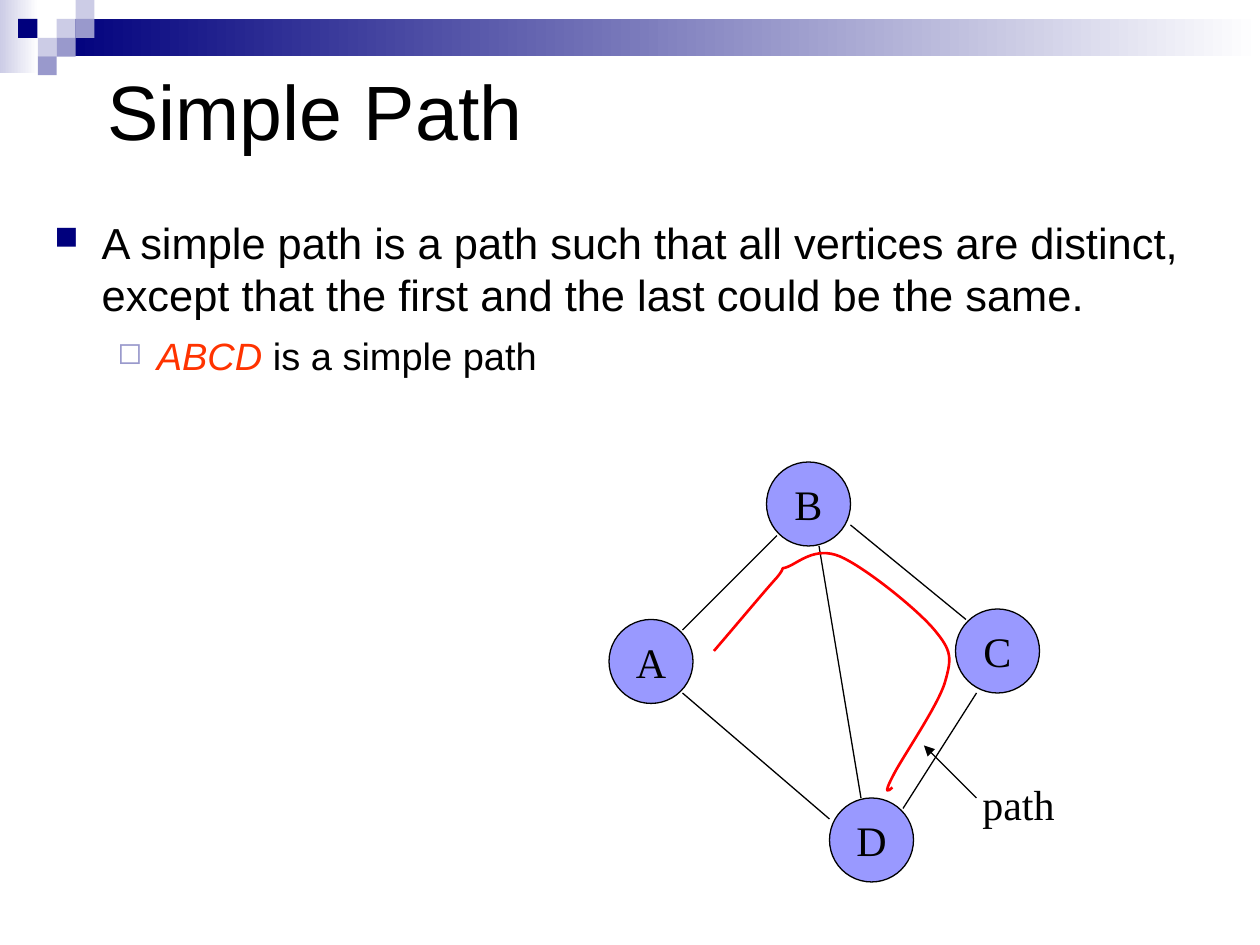
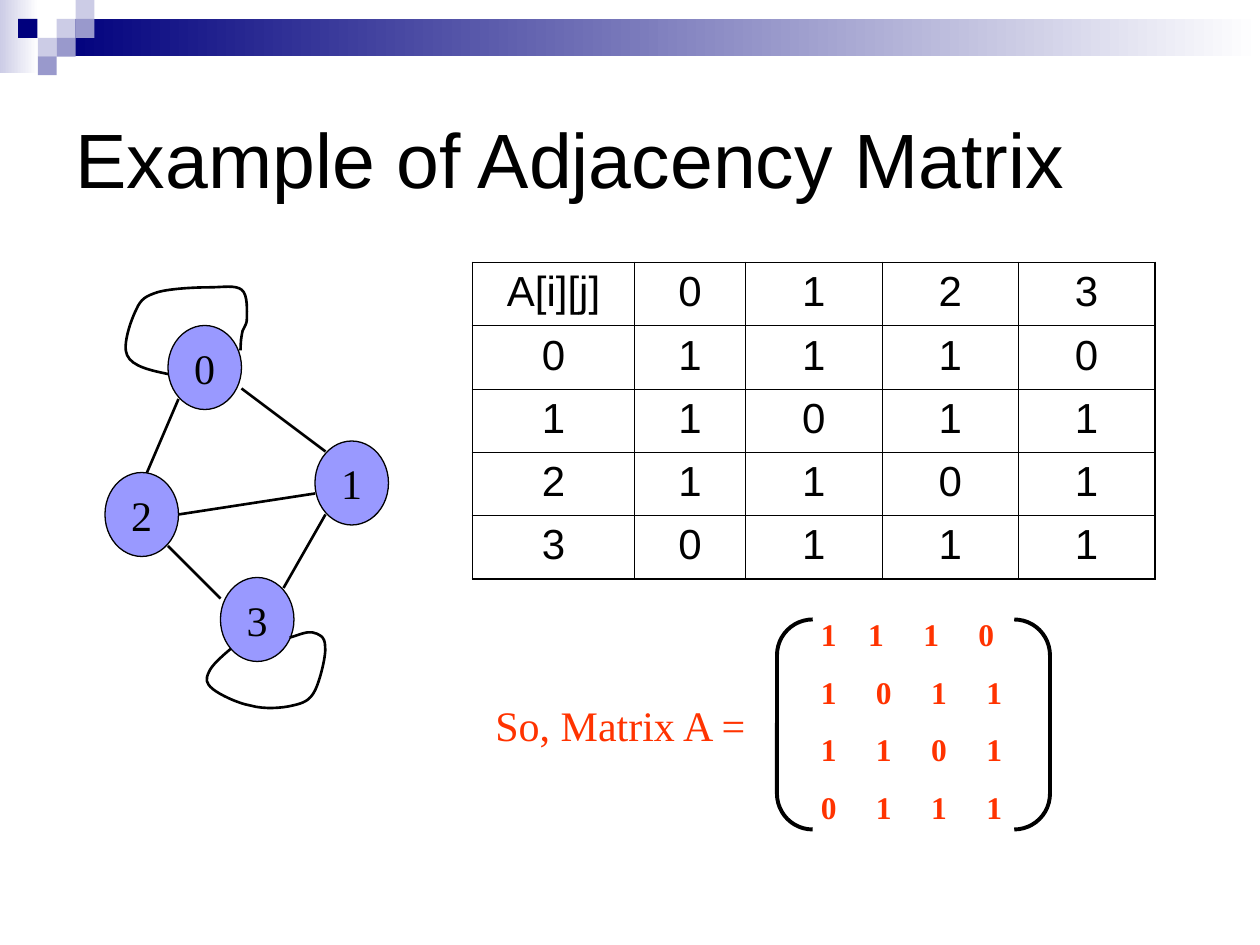
from lxml.etree import SubElement
from pptx import Presentation
from pptx.dml.color import RGBColor
from pptx.enum.shapes import MSO_CONNECTOR, MSO_SHAPE
from pptx.enum.text import MSO_ANCHOR, PP_ALIGN
from pptx.oxml import parse_xml
from pptx.oxml.ns import nsdecls, qn
from pptx.util import Pt

BLACK, WHITE, NAVY = "000000", "FFFFFF", "00007D"
PALE, MUTED, NODE = "CCCCE6", "9999CC", "9999FF"
ORANGE, RED = "FF3300", "FF0000"
SANS, SERIF = "Arial", "Times New Roman"


def hex_color(value):
    return RGBColor.from_string(value)


def write_text(para, text, size=24, font=SERIF, color=BLACK, bold=False, italic=False,
               align=PP_ALIGN.LEFT, before=0):
    para.alignment = align
    para.space_before = Pt(before)
    span = para.add_run()
    span.text = text
    span.font.size = Pt(size)
    span.font.name = font
    span.font.bold = bold
    span.font.italic = italic
    span.font.color.rgb = hex_color(color)


bands = [
    (0, 0, 22, 41.75, PALE, True),
    (32.4, 10.8, 687.6, 21.2, NAVY, True),
    (32.4, 10.8, 10.8, 10.8, PALE, False),
    (43.2, 0, 10.8, 10.8, PALE, False),
    (43.2, 10.8, 10.8, 10.8, MUTED, False),
    (21.6, 21.6, 10.8, 10.8, PALE, False),
    (10.4, 10.8, 11, 10.8, NAVY, False),
    (32.4, 21.6, 10.8, 10.8, MUTED, False),
    (21.6, 32.2, 10.8, 10.8, MUTED, False),
]

path_curve = [
    (408, 372),
    (422.6, 355), (437, 337.7), (444, 330),
    (450.7, 321.8), (444, 326.2), (450, 324),
    (456, 321.8), (465.8, 312), (480, 318),
    (494, 324), (524, 348), (534, 360),
    (544, 372), (544, 376), (540, 390),
    (535.7, 404), (514.8, 434), (510, 444),
    (504.7, 454.3), (507.6, 452.2), (510, 450),
]
top_loop = [
    (96.5, 213.8),
    (86.4, 211.7), (75.6, 209.5), (72.7, 203),
    (69.8, 197.3), (74.9, 182.9), (77.8, 177.1),
    (80.6, 170.6), (83.5, 169.2), (90, 167),
    (97.2, 164.9), (111.6, 164.2), (119.5, 164.2),
    (127.4, 164.2), (134.6, 162.7), (138.2, 165.6),
    (141.8, 168.5), (141.1, 177.8), (141.1, 182.2),
    (141.1, 186.5), (138.2, 187.9), (138.2, 191.5),
    (137.5, 194.4), (137.5, 200.2), (137.5, 200.2),
]
bottom_loop = [
    (131.8, 370.8),
    (126.7, 375.1), (121, 380.2), (119.5, 383.8),
    (117.4, 388.1), (117.4, 390.2), (121.7, 393.8),
    (125.3, 396.7), (135.4, 401.8), (143.3, 403.2),
    (151.2, 405.4), (161.3, 404.6), (167, 403.2),
    (173.5, 401.8), (177.1, 400.3), (180, 394.6),
    (182.9, 388.8), (186.5, 374.4), (185.8, 369.4),
    (185.8, 363.6), (182.2, 362.2), (178.6, 361.4),
    (175, 360.7), (170.6, 362.9), (165.6, 364.3),
]

graphs = [
    {
        "title": "Simple Path", "title_box": (54.3, 17.6, 612, 90),
        "node_size": (48, 48), "edge_width": 0.75,
        "nodes": {"B": (438, 264), "C": (546, 348), "D": (474, 456), "A": (348, 354)},
        "edges": [(444, 306, 390, 360), (390, 396, 474, 468), (516, 462, 558, 396),
                  (468, 312, 492, 456), (486, 300, 552, 354)],
        "arrows": [(558, 456, 528, 426)],
        "curves": [path_curve], "curve_color": RED,
    },
    {
        "title": "Example of Adjacency Matrix", "title_box": (36.2, 36, 648, 108),
        "node_size": (42, 48), "edge_width": 1.5,
        "nodes": {"0": (96, 186), "1": (180, 252), "3": (126, 330), "2": (60, 270)},
        "edges": [(102, 228, 84, 270), (96, 312, 126, 342), (102, 294, 180, 282),
                  (138, 222, 186, 258), (186, 294, 162, 336)],
        "arrows": [],
        "curves": [top_loop, bottom_loop], "curve_color": BLACK,
    },
]

deck = Presentation()
deck.slide_width, deck.slide_height = Pt(720), Pt(540)
pages = []

for graph in graphs:
    page = deck.slides.add_slide(deck.slide_layouts[6])
    pages.append(page)

    for left, top, width, height, color, fades in bands:
        band = page.shapes.add_shape(MSO_SHAPE.RECTANGLE, Pt(left), Pt(top), Pt(width), Pt(height))
        band.shadow.inherit = False
        band.line.fill.background()
        if fades:
            band.fill.gradient()
            band.fill.gradient_angle = 0
            for stop, stop_color in zip(band.fill.gradient_stops, (color, WHITE)):
                stop.color.rgb = hex_color(stop_color)
        else:
            band.fill.solid()
            band.fill.fore_color.rgb = hex_color(color)

    title = page.shapes.add_textbox(*map(Pt, graph["title_box"])).text_frame
    title.word_wrap = True
    title.vertical_anchor = MSO_ANCHOR.MIDDLE
    write_text(title.paragraphs[0], graph["title"], size=44, font=SANS)

    for label, corner in graph["nodes"].items():
        node = page.shapes.add_shape(MSO_SHAPE.OVAL, *map(Pt, corner + graph["node_size"]))
        node.shadow.inherit = False
        node.fill.solid()
        node.fill.fore_color.rgb = hex_color(NODE)
        node.line.color.rgb = hex_color(BLACK)
        node.line.width = Pt(0.75)
        node.text_frame.word_wrap = False
        node.text_frame.vertical_anchor = MSO_ANCHOR.MIDDLE
        write_text(node.text_frame.paragraphs[0], label, align=PP_ALIGN.CENTER)

    for ends in graph["edges"] + graph["arrows"]:
        edge = page.shapes.add_connector(MSO_CONNECTOR.STRAIGHT, *map(Pt, ends))
        edge.line.color.rgb = hex_color(BLACK)
        edge.line.width = Pt(graph["edge_width"])
        properties = edge._element.spPr
        if ends in graph["arrows"]:
            SubElement(properties.find(qn("a:ln")), qn("a:tailEnd"), type="triangle")
        SubElement(properties, qn("a:effectLst"))

    for curve in graph["curves"]:
        builder = page.shapes.build_freeform(*map(Pt, curve[0]))
        builder.add_line_segments([(Pt(x), Pt(y)) for x, y in curve[1:]], close=False)
        stroke = builder.convert_to_shape()
        stroke.shadow.inherit = False
        stroke.fill.background()
        stroke.line.color.rgb = hex_color(graph["curve_color"])
        stroke.line.width = Pt(1.5)
        outline = stroke._element.spPr.find(".//" + qn("a:path"))
        segments = outline.findall(qn("a:lnTo"))
        for first in range(0, len(segments), 3):
            bezier = SubElement(outline, qn("a:cubicBezTo"))
            for segment in segments[first:first + 3]:
                bezier.append(segment[0])
                outline.remove(segment)

path_page, matrix_page = pages

body = path_page.shapes.add_textbox(Pt(24), Pt(120), Pt(678), Pt(114)).text_frame
body.word_wrap = True
bullets = [
    (27, 27, 8, 24.8, "■", NAVY, 75,
     [("A simple path is a path such that all vertices are distinct, "
       "except that the first and the last could be the same.", BLACK, False)]),
    (58.5, 22.5, 7, 21.7, "◻", MUTED, 80,
     [("ABCD", ORANGE, True), (" is a simple path", BLACK, False)]),
]
for number, (indent, hanging, before, size, mark, mark_color, percent, spans) in enumerate(bullets):
    para = body.add_paragraph() if number else body.paragraphs[0]
    para.level = number
    for text, color, italic in spans:
        write_text(para, text, size=size, font=SANS, color=color, italic=italic, before=before)
    properties = para._p.get_or_add_pPr()
    properties.set("marL", str(Pt(indent)))
    properties.set("indent", str(-Pt(hanging)))
    SubElement(SubElement(properties, qn("a:buClr")), qn("a:srgbClr"), val=mark_color)
    SubElement(properties, qn("a:buSzPct"), val=str(percent * 1000))
    SubElement(properties, qn("a:buChar"), char=mark)

path_label = path_page.shapes.add_textbox(Pt(552), Pt(444.5), Pt(60), Pt(30)).text_frame
path_label.word_wrap = False
path_label.vertical_anchor = MSO_ANCHOR.MIDDLE
write_text(path_label.paragraphs[0], "path", align=PP_ALIGN.CENTER)

adjacency = [
    ["A[i][j]", "0", "1", "2", "3"],
    ["0", "1", "1", "1", "0"],
    ["1", "1", "0", "1", "1"],
    ["2", "1", "1", "0", "1"],
    ["3", "0", "1", "1", "1"],
]
last = len(adjacency) - 1
table = matrix_page.shapes.add_table(5, 5, Pt(270), Pt(150), Pt(390), Pt(180.75)).table
table.first_row = False
table.horz_banding = False
for column, width in zip(table.columns, (92.75, 63.25, 78, 78, 78)):
    column.width = Pt(width)
for row_index, values in enumerate(adjacency):
    table.rows[row_index].height = Pt(36.15)
    for column_index, value in enumerate(values):
        cell = table.cell(row_index, column_index)
        cell.fill.background()
        write_text(cell.text_frame.paragraphs[0], value, font=SANS, align=PP_ALIGN.CENTER, before=6)
        outer_sides = {"L": column_index == 0, "R": column_index == last,
                       "T": row_index == 0, "B": row_index == last}
        for position, (side, outer) in enumerate(outer_sides.items()):
            border = parse_xml(
                f'<a:ln{side} {nsdecls("a")} w="{Pt(1.08 if outer else 0.45)}">'
                f'<a:solidFill><a:srgbClr val="{BLACK}"/></a:solidFill></a:ln{side}>')
            cell._tc.get_or_add_tcPr().insert(position, border)

caption = matrix_page.shapes.add_textbox(Pt(270), Pt(396), Pt(180), Pt(36)).text_frame
caption.word_wrap = True
write_text(caption.paragraphs[0], " So, Matrix A =", color=ORANGE, before=15)

bracket = matrix_page.shapes.add_shape(MSO_SHAPE.DOUBLE_BRACKET, Pt(444), Pt(354), Pt(156), Pt(120))
bracket.adjustments[0] = 0.17
bracket.shadow.inherit = False
bracket.fill.background()
bracket.line.color.rgb = hex_color(BLACK)
bracket.line.width = Pt(2.25)

matrix = matrix_page.shapes.add_textbox(Pt(462), Pt(348), Pt(132), Pt(127.5)).text_frame
matrix.word_wrap = True
for number, values in enumerate(adjacency[1:]):
    para = matrix.add_paragraph() if number else matrix.paragraphs[0]
    write_text(para, "\t".join(values[1:]), size=18, color=ORANGE, bold=True, before=11.25)
    first_stop = 31.5 if number else 27
    tabs = SubElement(para._p.get_or_add_pPr(), qn("a:tabLst"))
    for stop in range(3):
        SubElement(tabs, qn("a:tab"), pos=str(Pt(first_stop + 31.5 * stop)), algn="l")

deck.save("out.pptx")
